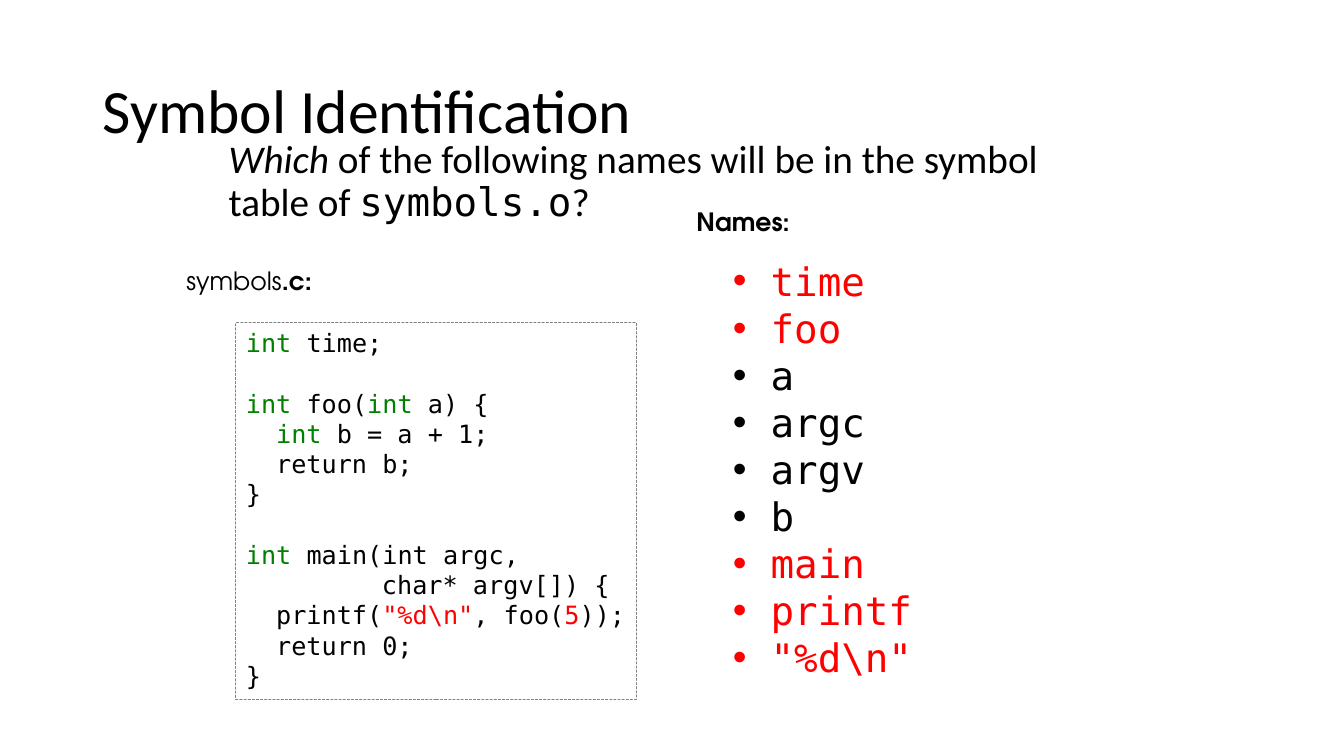
from lxml import etree
from pptx import Presentation
from pptx.dml.color import RGBColor
from pptx.enum.dml import MSO_LINE
from pptx.enum.shapes import MSO_SHAPE
from pptx.enum.text import MSO_ANCHOR, MSO_AUTO_SIZE, PP_ALIGN
from pptx.oxml.ns import qn
from pptx.util import Inches, Pt

LEFT, TOP, MIDDLE = PP_ALIGN.LEFT, MSO_ANCHOR.TOP, MSO_ANCHOR.MIDDLE
NO_AUTOFIT = MSO_AUTO_SIZE.NONE
RECTANGLE, DASH = MSO_SHAPE.RECTANGLE, MSO_LINE.SQUARE_DOT
COLORS = {"text": "000000", "keyword": "008000", "literal": "FF0000",
          "symbol": "FF0000", "border": "7F7F7F", "panel": "FFFFFF"}
SANS, MONO, LABEL = "Calibri", "DejaVu Sans Mono", "TeX Gyre Adventor"
TITLE_ONLY = 5
CODE_SIZE = 18
CODE_LINE_HEIGHT = 21.6
CODE_CHARACTER_WIDTH = 0.15
BULLET_INDENT = 3 / 8

CODE_LINES = [
    (0, 0, [("int ", "keyword"), ("time;", "text")]),
    (1, 0, [("int ", "keyword"), ("foo(", "text"), ("int ", "keyword"), ("a) {", "text")]),
    (0, 2, [("int ", "keyword"), ("b = a + 1;", "text")]),
    (0, 2, [("return b;", "text")]),
    (0, 0, [("}", "text")]),
    (1, 0, [("int ", "keyword"), ("main(int argc,", "text")]),
    (0, 9, [("char* argv[]) {", "text")]),
    (0, 2, [("printf(", "text"), ('"%d\\n"', "literal"), (", foo(", "text"),
            ("5", "literal"), ("));", "text")]),
    (0, 2, [("return 0;", "text")]),
    (0, 0, [("}", "text")]),
]
NAMES = ["time", "foo", "a", "argc", "argv", "b", "main", "printf", '"%d\\n"']
SYMBOLS = {"time", "foo", "main", "printf", '"%d\\n"'}


def color(name):
    """Return the named colour."""
    return RGBColor.from_string(COLORS[name])


def set_font(font, family, size, color_name="text"):
    """Set the family, size and colour of a font."""
    font.name, font.size = family, Pt(size)
    font.color.rgb = color(color_name)


def prepare_frame(shape, wrap=True, anchor=TOP):
    """Set wrapping and anchoring and return the text frame."""
    frame = shape.text_frame
    frame.auto_size = NO_AUTOFIT
    frame.word_wrap = wrap
    frame.vertical_anchor = anchor
    return frame


def add_frame(slide, box, wrap=True):
    """Add a text box and return its text frame."""
    return prepare_frame(slide.shapes.add_textbox(*map(Inches, box)), wrap)


def add_panel(slide, box):
    """Add a rectangle without shadow."""
    shape = slide.shapes.add_shape(RECTANGLE, *map(Inches, box))
    shape.shadow.inherit = False
    return shape


def add_paragraphs(frame, items):
    """Yield a left-aligned paragraph of the frame with each item."""
    for index, item in enumerate(items):
        paragraph = frame.add_paragraph() if index else frame.paragraphs[0]
        paragraph.alignment = LEFT
        yield paragraph, item


def set_indent(paragraph, margin, first_line=0):
    """Set the left margin and first-line indent in inches."""
    properties = paragraph._p.get_or_add_pPr()
    properties.set("marL", str(Inches(margin)))
    properties.set("indent", str(Inches(first_line)))
    return properties


def place_title(slide, box):
    """Write the slide title in its placeholder."""
    title = slide.shapes.title
    title.left, title.top, title.width, title.height = map(Inches, box)
    frame = prepare_frame(title, anchor=MIDDLE)
    frame.text = "Symbol Identification"
    paragraph = frame.paragraphs[0]
    paragraph.alignment = LEFT
    paragraph.line_spacing = 0.9
    set_font(paragraph.font, SANS, 44)


def add_question(slide, box):
    """Add the question below the title."""
    paragraph = add_frame(slide, box).paragraphs[0]
    paragraph.line_spacing = 0.9
    paragraph.space_before = Pt(10)
    for text, family, italic in [
            ("Which ", SANS, True),
            ("of the following names will be in the symbol table of ", SANS, False),
            ("symbols.o", MONO, False), ("?", SANS, False)]:
        run = paragraph.add_run()
        run.text = text
        set_font(run.font, family, 28)
        run.font.italic = italic


def add_label(slide, box, parts):
    """Add a heading made of (text, bold) parts."""
    paragraph = add_frame(slide, box, wrap=False).paragraphs[0]
    set_font(paragraph.font, LABEL, 18)
    for text, bold in parts:
        run = paragraph.add_run()
        run.text = text
        run.font.bold = bold


def add_code(slide, box):
    """Add the bordered source code."""
    shape = add_panel(slide, box)
    shape.fill.background()
    shape.line.color.rgb = color("border")
    shape.line.width = Pt(0.75)
    shape.line.dash_style = DASH
    shape._element.spPr.find(qn("a:ln")).set("cap", "rnd")
    frame = prepare_frame(shape, wrap=False)
    for paragraph, (gap, indent, parts) in add_paragraphs(frame, CODE_LINES):
        paragraph.space_before = Pt(gap * CODE_LINE_HEIGHT)
        set_indent(paragraph, indent * CODE_CHARACTER_WIDTH)
        for text, color_name in parts:
            run = paragraph.add_run()
            run.text = text
            set_font(run.font, MONO, CODE_SIZE, color_name)


def add_names(slide, box):
    """Add the bulleted names with the symbols highlighted."""
    shape = add_panel(slide, box)
    shape.fill.solid()
    shape.fill.fore_color.rgb = color("panel")
    shape.line.fill.background()
    for paragraph, name in add_paragraphs(prepare_frame(shape), NAMES):
        run = paragraph.add_run()
        run.text = name
        set_font(run.font, MONO, 28, "symbol" if name in SYMBOLS else "text")
        properties = set_indent(paragraph, BULLET_INDENT, -BULLET_INDENT)
        etree.SubElement(properties, qn("a:buFont")).set("typeface", "Arial")
        etree.SubElement(properties, qn("a:buChar")).set("char", "•")


def build_symbol_slide(presentation):
    """Build the symbol identification slide."""
    slide = presentation.slides.add_slide(presentation.slide_layouts[TITLE_ONLY])
    place_title(slide, (0.92, 0.4, 11.5, 1.45))
    add_question(slide, (2.17, 1.34, 8.83, 1.08))
    add_label(slide, (1.75, 2.58, 1.46, 0.4), [("symbols", False), (".c:", True)])
    add_code(slide, (2.34, 3.2, 3.97, 3.74))
    add_label(slide, (6.81, 2, 1.13, 0.4), [("Names:", True)])
    add_names(slide, (7.17, 2.5, 2.58, 4.34))


def main():
    """Create and save the presentation."""
    presentation = Presentation()
    presentation.slide_width, presentation.slide_height = Inches(13.33), Inches(7.5)
    build_symbol_slide(presentation)
    presentation.save("out.pptx")


if __name__ == "__main__":
    main()
